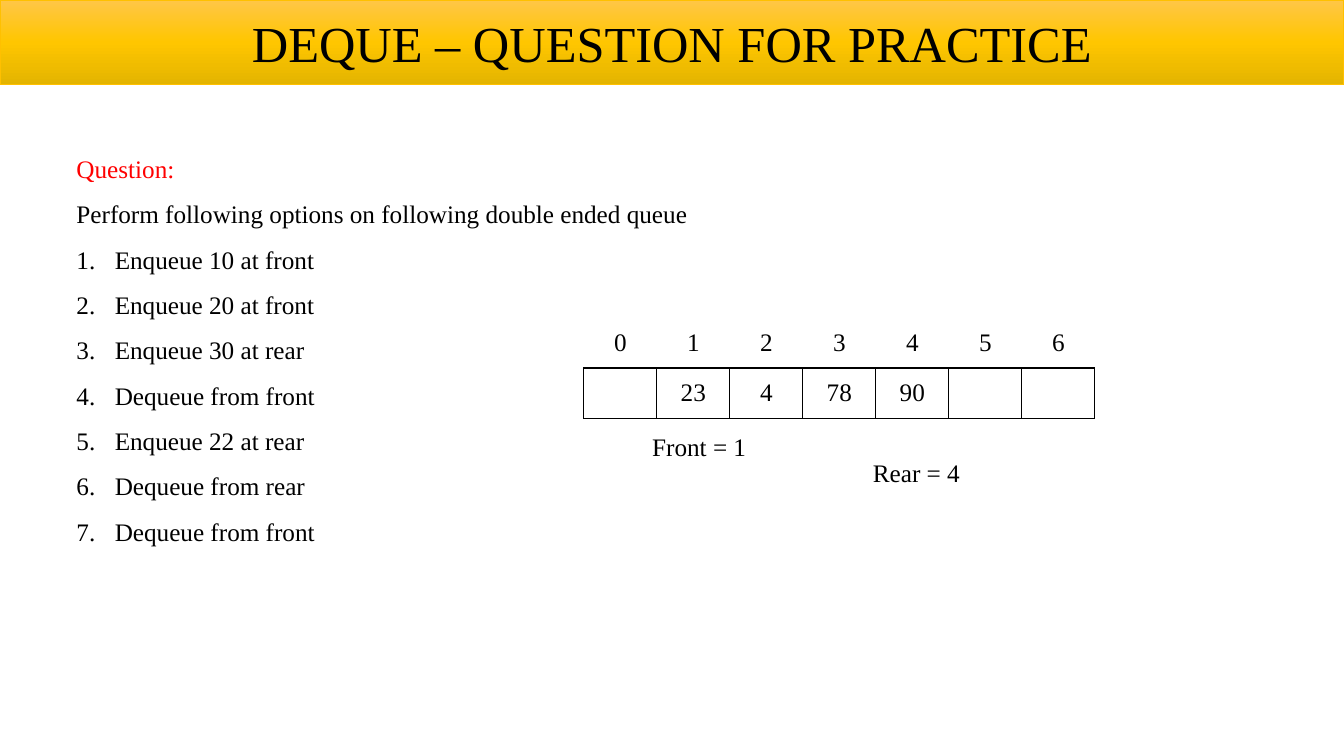
from copy import deepcopy

from lxml.etree import SubElement
from pptx import Presentation
from pptx.dml.color import RGBColor
from pptx.enum.text import MSO_ANCHOR, MSO_AUTO_SIZE, PP_ALIGN
from pptx.oxml import parse_xml
from pptx.oxml.ns import nsdecls, qn
from pptx.util import Inches, Pt


def rgb(value):
    return RGBColor.from_string(value)


def write(paragraph, wording, color="000000", size=18):
    run = paragraph.add_run()
    run.text = wording
    run.font.color.rgb = rgb(color)
    for attribute, value in {"name": "Times New Roman", "size": Pt(size)}.items():
        setattr(run.font, attribute, value)


deck = Presentation()
deck.slide_width = Inches(13.33)
deck.slide_height = Inches(7.5)
slide = deck.slides.add_slide(deck.slide_layouts[5])

heading = slide.shapes.title
heading_place = {"left": 0, "top": 0, "width": deck.slide_width, "height": Inches(0.84)}
for attribute, value in heading_place.items():
    setattr(heading, attribute, value)
heading.fill.gradient()
heading.fill.gradient_angle = 270
first_stop = heading.fill.gradient_stops[0]._gs
first_stop.addnext(deepcopy(first_stop))
for stop, position, color in zip(
    heading.fill.gradient_stops, (0, 0.5, 1), ("FFC647", "FFC600", "E3B400")
):
    stop.position = position
    stop.color.rgb = rgb(color)
heading.line.color.rgb = rgb("FFC000")
heading.line.width = Pt(0.75)
heading_format = {"auto_size": MSO_AUTO_SIZE.NONE, "vertical_anchor": MSO_ANCHOR.MIDDLE}
for attribute, value in heading_format.items():
    setattr(heading.text_frame, attribute, value)
heading_line = heading.text_frame.paragraphs[0]
heading_line.alignment = PP_ALIGN.CENTER
write(heading_line, "DEQUE – QUESTION FOR PRACTICE", size=36)

question = slide.shapes.add_textbox(
    Inches(0.66), Inches(1.32), Inches(9.71), Inches(4.14)
).text_frame
question.word_wrap = True
question_line = question.paragraphs[0]
question_line.line_spacing = 1.5
write(question_line, "Question:", "FF0000")
task_line = question.add_paragraph()
task_line.line_spacing = 1.5
write(task_line, "Perform following options on following double ended queue")

operations = [
    "Enqueue 10 at front",
    "Enqueue 20 at front",
    "Enqueue 30 at rear",
    "Dequeue from front",
    "Enqueue 22 at rear",
    "Dequeue from rear",
    "Dequeue from front",
]
for operation in operations:
    step = question.add_paragraph()
    step.line_spacing = 1.5
    numbering = step._p.get_or_add_pPr()
    numbering.set("marL", str(Inches(0.38)))
    numbering.set("indent", str(-Inches(0.38)))
    SubElement(numbering, qn("a:buFont"), typeface="+mj-lt")
    SubElement(numbering, qn("a:buAutoNum"), type="arabicPeriod")
    write(step, operation)

queue_rows = [
    ["0", "1", "2", "3", "4", "5", "6"],
    ["", "23", "4", "78", "90", "", ""],
]
row_borders = [["lnB"], ["lnL", "lnR", "lnT", "lnB"]]
queue = slide.shapes.add_table(
    2, 7, Inches(5.79), Inches(3.15), Inches(5.07), Inches(1)
).table
queue.first_row = False
queue.horz_banding = False
for row, (entries, borders) in enumerate(zip(queue_rows, row_borders)):
    for column, entry in enumerate(entries):
        cell = queue.cell(row, column)
        cell.vertical_anchor = MSO_ANCHOR.MIDDLE
        cell.fill.background()
        for order, border in enumerate(borders):
            cell._tc.get_or_add_tcPr().insert(order, parse_xml(
                f'<a:{border} {nsdecls("a")} w="{Pt(1)}"><a:solidFill>'
                f'<a:srgbClr val="000000"/></a:solidFill></a:{border}>'
            ))
        if entry:
            entry_line = cell.text_frame.paragraphs[0]
            entry_line.alignment = PP_ALIGN.CENTER
            write(entry_line, entry)

for pointer, left, top in [("Front = 1", 6.37, 4.23), ("Rear = 4", 8.56, 4.49)]:
    pointer_text = slide.shapes.add_textbox(
        Inches(left), Inches(top), Inches(1.14), Inches(0.4)
    ).text_frame
    pointer_text.word_wrap = True
    write(pointer_text.paragraphs[0], pointer)

deck.save("out.pptx")
